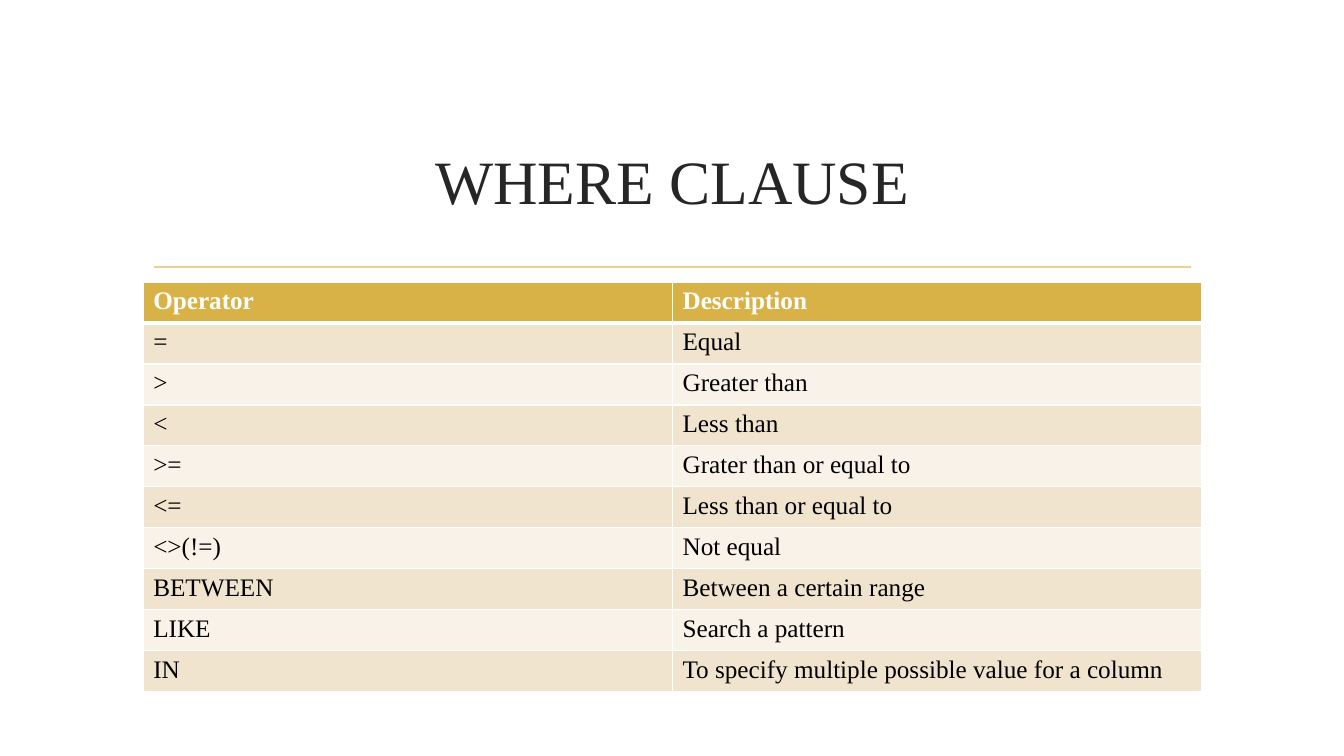
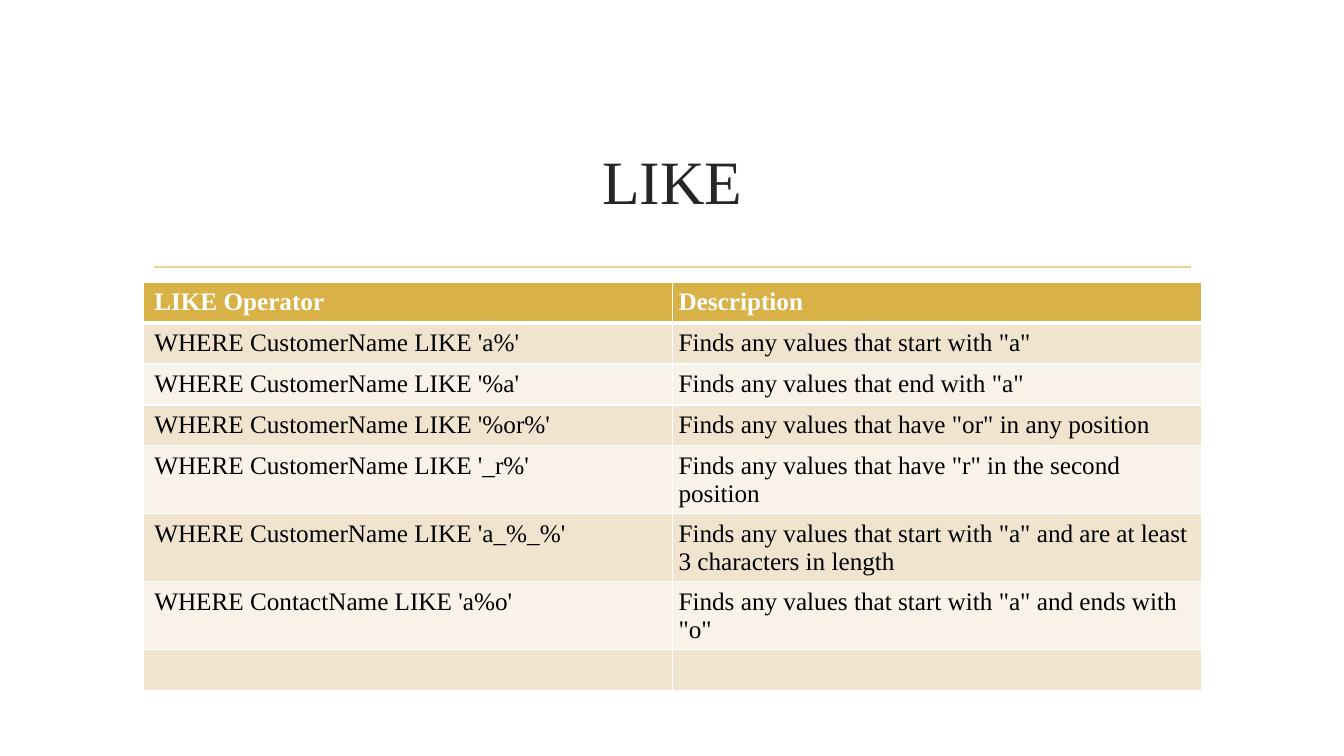
from dataclasses import dataclass

from lxml.etree import SubElement
from pptx import Presentation
from pptx.dml.color import RGBColor
from pptx.enum.shapes import MSO_CONNECTOR
from pptx.enum.text import MSO_ANCHOR, PP_ALIGN
from pptx.oxml import parse_xml
from pptx.oxml.ns import nsdecls, qn
from pptx.presentation import Presentation as Deck
from pptx.slide import Slide
from pptx.table import _Cell as Cell
from pptx.util import Inches, Pt

WHITE = RGBColor(0xFF, 0xFF, 0xFF)
BLACK = RGBColor(0x00, 0x00, 0x00)
CHARCOAL = RGBColor(0x26, 0x26, 0x26)
GOLD = RGBColor(0xD9, 0xB2, 0x47)
PALE_GOLD = RGBColor(0xE8, 0xD1, 0x91)
BANDS = (RGBColor(0xF8, 0xF2, 0xE9), RGBColor(0xF1, 0xE4, 0xCF))

FONT = "Times New Roman"
LEFT, WIDTH = Inches(1.42), Inches(10.5)
TABLE_TOP = Inches(2.8)
ROW_HEIGHT = Inches(4.06) // 10
TITLE_ONLY = 5


@dataclass(frozen=True)
class Margins:
    left: float
    right: float
    vertical: float


@dataclass(frozen=True)
class TableSlide:
    title: str
    rows: tuple[tuple[str, str], ...]
    margins: tuple[Margins, Margins]


STANDARD = Margins(0.1, 0.1, 0.05)
NARROW = Margins(0.06, 0.06, 0.06)
INDENTED = Margins(0.11, 0.06, 0.06)

TABLE_SLIDES = (
    TableSlide(
        "WHERE CLAUSE",
        (
            ("Operator", "Description"),
            ("=", "Equal"),
            (">", "Greater than"),
            ("<", "Less than"),
            (">=", "Grater than or equal to"),
            ("<=", "Less than or equal to"),
            ("<>(!=)", "Not equal"),
            ("BETWEEN", "Between a certain range"),
            ("LIKE", "Search a pattern"),
            ("IN", "To specify multiple possible value for a column"),
        ),
        (STANDARD, STANDARD),
    ),
    TableSlide(
        "LIKE",
        (
            ("LIKE Operator", "Description"),
            ("WHERE CustomerName LIKE 'a%'", 'Finds any values that start with "a"'),
            ("WHERE CustomerName LIKE '%a'", 'Finds any values that end with "a"'),
            ("WHERE CustomerName LIKE '%or%'", 'Finds any values that have "or" in any position'),
            ("WHERE CustomerName LIKE '_r%'", 'Finds any values that have "r" in the second position'),
            (
                "WHERE CustomerName LIKE 'a_%_%'",
                'Finds any values that start with "a" and are at least 3 characters in length',
            ),
            ("WHERE ContactName LIKE 'a%o'", 'Finds any values that start with "a" and ends with "o"'),
            ("", ""),
        ),
        (INDENTED, NARROW),
    ),
)


def add_rule(slide: Slide) -> None:
    rule = slide.shapes.add_connector(
        MSO_CONNECTOR.STRAIGHT, Inches(1.53), Inches(2.65), Inches(11.81), Inches(2.65)
    )
    rule.line.color.rgb = PALE_GOLD
    rule.line.width = Pt(1.25)
    SubElement(rule._element.spPr, qn("a:effectLst"))


def format_title(slide: Slide, text: str) -> None:
    title = slide.shapes.title
    title.left, title.top, title.width, title.height = LEFT, Inches(1.07), WIDTH, Inches(1.43)
    frame = title.text_frame
    frame.text = text
    frame.vertical_anchor = MSO_ANCHOR.MIDDLE
    paragraph = frame.paragraphs[0]
    paragraph.alignment = PP_ALIGN.CENTER
    paragraph.font.name = FONT
    paragraph.font.size = Pt(44)
    paragraph.font.color.rgb = CHARCOAL


def set_borders(cell: Cell, row: int) -> None:
    widths = {"L": 1, "R": 1, "T": 3 if row == 1 else 1, "B": 3 if row == 0 else 1}
    properties = cell._tc.get_or_add_tcPr()
    for position, (side, width) in enumerate(widths.items()):
        border = parse_xml(
            f'<a:ln{side} {nsdecls("a")} w="{Pt(width)}"><a:solidFill>'
            f'<a:srgbClr val="{WHITE}"/></a:solidFill></a:ln{side}>'
        )
        properties.insert(position, border)


def format_cell(cell: Cell, text: str, row: int, margins: Margins) -> None:
    is_header = row == 0
    cell.text = text
    cell.margin_left, cell.margin_right = Inches(margins.left), Inches(margins.right)
    cell.margin_top = cell.margin_bottom = Inches(margins.vertical)
    cell.fill.solid()
    cell.fill.fore_color.rgb = GOLD if is_header else BANDS[row % 2]
    set_borders(cell, row)
    font = cell.text_frame.paragraphs[0].font
    font.name = FONT
    font.size = Pt(18)
    font.bold = is_header
    font.color.rgb = WHITE if is_header else BLACK


def add_table(slide: Slide, content: TableSlide) -> None:
    count = len(content.rows)
    table = slide.shapes.add_table(
        count, 2, LEFT, TABLE_TOP, WIDTH, ROW_HEIGHT * count
    ).table
    for row, texts in enumerate(content.rows):
        for column, (text, margins) in enumerate(zip(texts, content.margins)):
            format_cell(table.cell(row, column), text, row, margins)


def add_table_slide(presentation: Deck, content: TableSlide) -> None:
    slide = presentation.slides.add_slide(presentation.slide_layouts[TITLE_ONLY])
    add_rule(slide)
    format_title(slide, content.title)
    add_table(slide, content)


def main() -> None:
    presentation = Presentation()
    presentation.slide_width = Inches(13.33)
    presentation.slide_height = Inches(7.5)
    for content in TABLE_SLIDES:
        add_table_slide(presentation, content)
    presentation.save("out.pptx")


if __name__ == "__main__":
    main()
